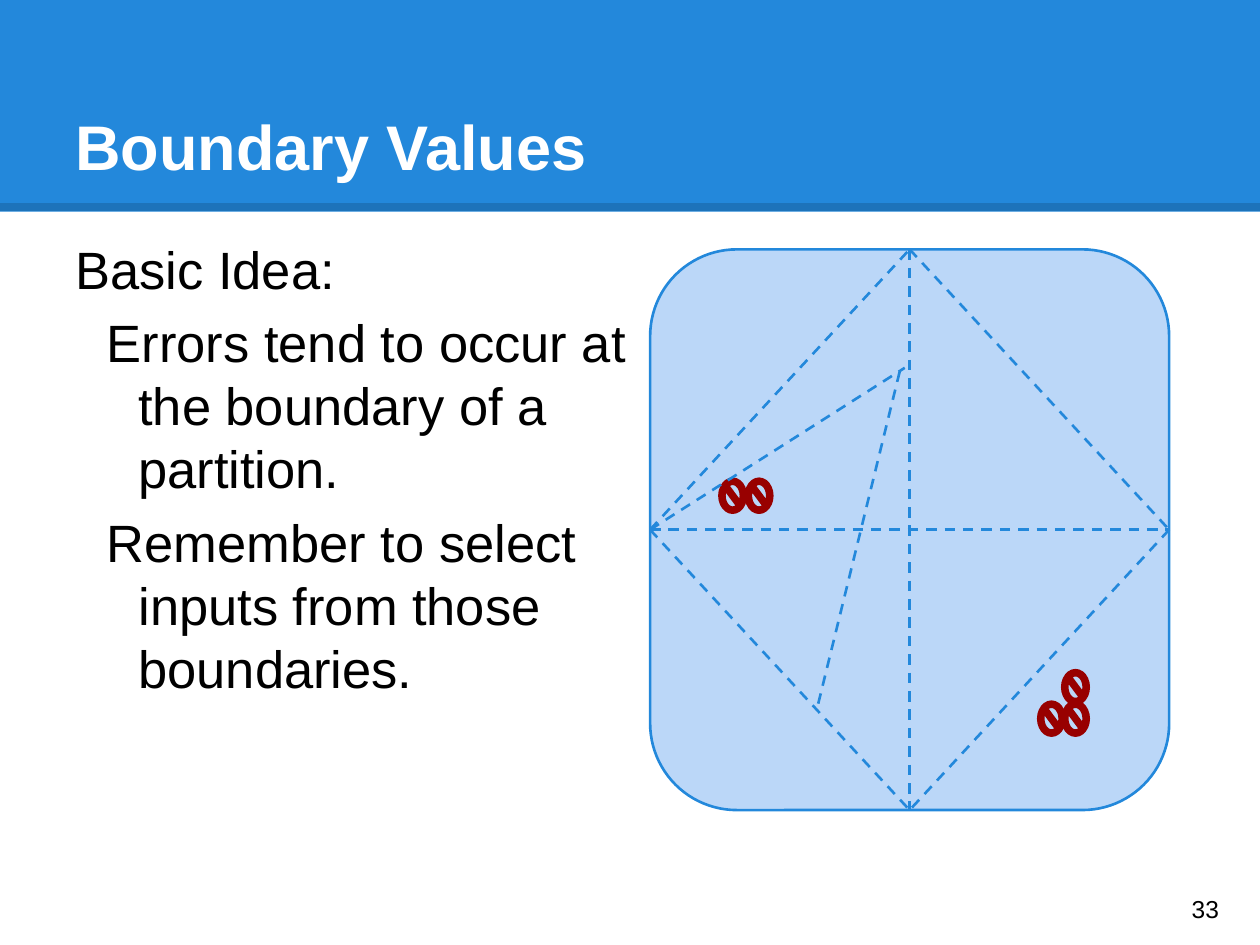
from lxml.etree import SubElement
from pptx import Presentation
from pptx.dml.color import RGBColor
from pptx.enum.dml import MSO_LINE
from pptx.enum.shapes import MSO_CONNECTOR, MSO_SHAPE
from pptx.enum.text import MSO_ANCHOR as ANCHOR
from pptx.oxml.ns import qn
from pptx.util import Pt

TITLE = "Boundary Values"
IDEA = [  # text, indented
    ("Basic Idea:", False),
    ("Errors tend to occur at the boundary of a partition.", True),
    ("Remember to select inputs from those boundaries.", True),
]
PAGE_NUMBER = "33"

WIDTH, HEIGHT = 720, 540
BLUE, PALE_BLUE, RED = "2388DB", "BBD7F8", "980000"
WHITE, BLACK = "FFFFFF", "000000"

PANEL = (371.5, 142.5, 296.6, 320.4)
TOP, LEFT, BOTTOM, RIGHT = range(4)
SIDE_LINES = [(TOP, BOTTOM), (LEFT, RIGHT), (LEFT, TOP),
              (TOP, RIGHT), (RIGHT, BOTTOM), (LEFT, BOTTOM)]
UPPER_SPLIT_END = (517, 210.2)
INNER_SPLIT = ((514.1, 212.4), (467.3, 403.2))
ERROR_SIZE = (15.1, 19.4)
ERRORS = [(426.2, 273.6), (411.1, 273.6), (607, 401), (607, 383), (593.3, 401)]


def color(hex_value):
    return RGBColor.from_string(hex_value)


def add_filled(kind, box, fill, line=None, adjust=None):
    shape = slide.shapes.add_shape(kind, *map(Pt, box))
    shape.shadow.inherit = False
    shape.fill.solid()
    shape.fill.fore_color.rgb = color(fill)
    if line:
        shape.line.color.rgb = color(line)
        shape.line.width = Pt(1.5)
    else:
        shape.line.fill.background()
    if adjust is not None:
        shape.adjustments[0] = adjust
    return shape


def add_line(start, end, line_color=BLUE, width=1.5, dashed=True):
    line = slide.shapes.add_connector(MSO_CONNECTOR.STRAIGHT, *map(Pt, start + end))
    SubElement(line._element.spPr, qn("a:effectLst"))
    line.line.color.rgb = color(line_color)
    line.line.width = Pt(width)
    if dashed:
        line.line.dash_style = MSO_LINE.DASH
    return line


def add_frame(box, anchor):
    frame = slide.shapes.add_textbox(*map(Pt, box)).text_frame
    frame.word_wrap = True
    frame.vertical_anchor = anchor
    frame.margin_left = frame.margin_right = Pt(7.2)
    frame.margin_top = frame.margin_bottom = Pt(7.2)
    return frame


def add_run(paragraph, text, size, text_color=BLACK, bold=False):
    run = paragraph.add_run()
    run.text = text
    run.font.name = "Arial"
    run.font.size = Pt(size)
    run.font.bold = bold
    run.font.color.rgb = color(text_color)


deck = Presentation()
deck.slide_width, deck.slide_height = Pt(WIDTH), Pt(HEIGHT)
slide = deck.slides.add_slide(deck.slide_layouts[6])

# Header band with a translucent lower edge
add_filled(MSO_SHAPE.RECTANGLE, (0, 0, WIDTH, 121), BLUE)
edge = add_line((0, 118.4), (WIDTH, 118.4), BLACK, 4.5, dashed=False)
edge_color = edge._element.spPr.find(".//" + qn("a:srgbClr"))
SubElement(edge_color, qn("a:alpha"), val="15000")
title = add_frame((36, 21.6, 648, 90), ANCHOR.BOTTOM)
add_run(title.paragraphs[0], TITLE, 36, WHITE, bold=True)

idea = add_frame((36, 128, 338.4, 389), ANCHOR.TOP)
for index, (text, indented) in enumerate(IDEA):
    paragraph = idea.add_paragraph() if index else idea.paragraphs[0]
    paragraph.line_spacing = Pt(36)
    if index:
        paragraph.space_before = Pt(6)
    if indented:
        properties = paragraph._p.get_or_add_pPr()
        properties.set("marL", str(Pt(36)))
        properties.set("indent", str(Pt(-18)))
    add_run(paragraph, text, 30)

# Input space, its errors and its partitions
panel = add_filled(MSO_SHAPE.ROUNDED_RECTANGLE, PANEL, PALE_BLUE, BLUE, 0.167)
for position in ERRORS:
    add_filled(MSO_SHAPE.NO_SYMBOL, position + ERROR_SIZE, RED, RED, 0.188)

x, y, w, h = PANEL
sides = {TOP: (x + w / 2, y), LEFT: (x, y + h / 2),
         BOTTOM: (x + w / 2, y + h), RIGHT: (x + w, y + h / 2)}
for start, end in SIDE_LINES:
    partition = add_line(sides[start], sides[end])
    partition.begin_connect(panel, start)
    partition.end_connect(panel, end)
upper_split = add_line(sides[LEFT], UPPER_SPLIT_END)
upper_split.begin_connect(panel, LEFT)
add_line(*INNER_SPLIT)

number = add_frame((673.9, 499, 43.2, 41), ANCHOR.MIDDLE)
add_run(number.paragraphs[0], PAGE_NUMBER, 14)

deck.save("out.pptx")
